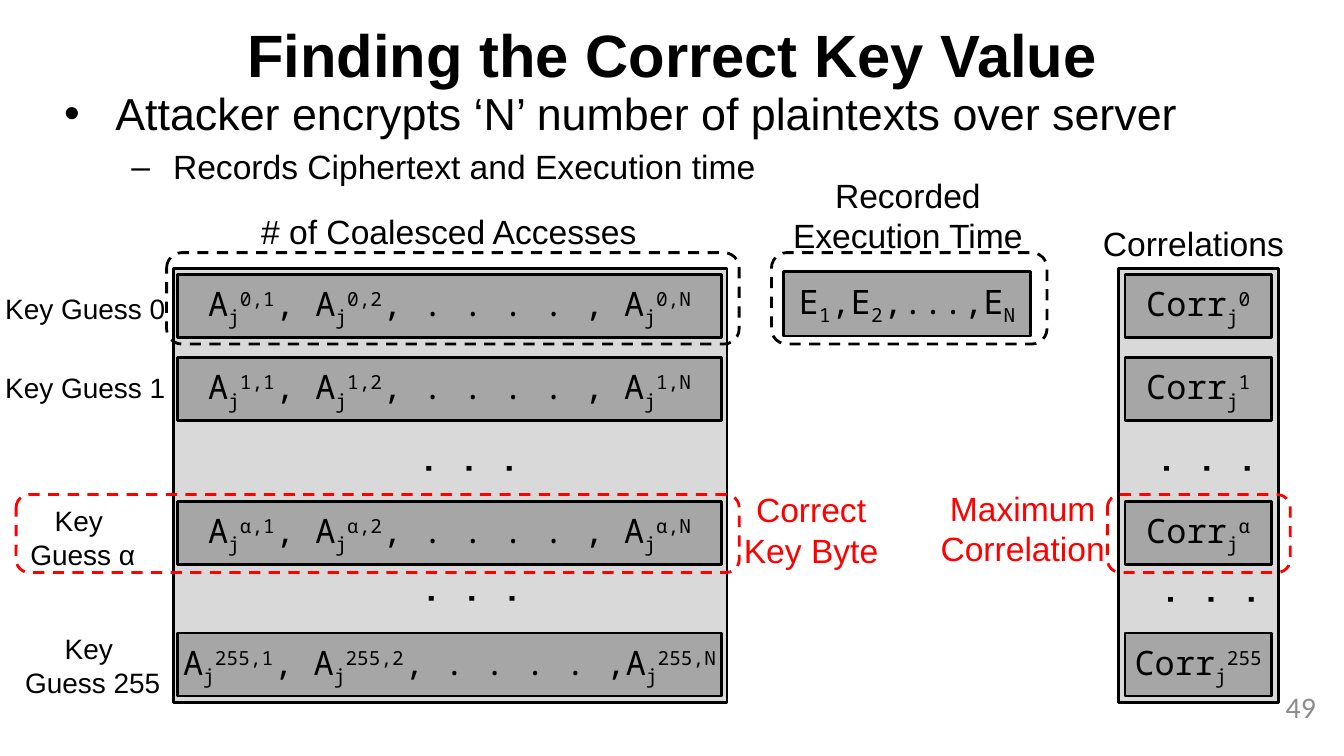
"""Build the slide on finding the correct key value from correlations."""
from dataclasses import dataclass
from typing import Optional

import pptx
import pptx.dml.color
import pptx.enum.dml
import pptx.enum.shapes
import pptx.enum.text
import pptx.oxml.ns
import pptx.util
from lxml import etree

EMU_PER_PX = 9144
BLACK = pptx.dml.color.RGBColor(0x00, 0x00, 0x00)
RED = pptx.dml.color.RGBColor(0xFF, 0x00, 0x00)
PANEL_GRAY = pptx.dml.color.RGBColor(0xD9, 0xD9, 0xD9)
CELL_GRAY = pptx.dml.color.RGBColor(0xA6, 0xA6, 0xA6)
NUMBER_GRAY = pptx.dml.color.RGBColor(0x8C, 0x8C, 0x8C)
SANS = "Arial"
MONO = "Noto Sans Mono"
SUBSCRIPT = -25000
SUPERSCRIPT = 30000

ALIGN = pptx.enum.text.PP_ALIGN
ANCHOR = pptx.enum.text.MSO_ANCHOR
AUTO_SIZE = pptx.enum.text.MSO_AUTO_SIZE
SHAPE = pptx.enum.shapes.MSO_SHAPE


@dataclass(frozen=True)
class Box:
    left: int
    top: int
    width: int
    height: int

    def emu(self) -> list[pptx.util.Emu]:
        """Return the four lengths in EMU."""
        return [px(value) for value in (self.left, self.top, self.width, self.height)]


@dataclass(frozen=True)
class Piece:
    text: str
    baseline: int = 0


@dataclass(frozen=True)
class Label:
    box: Box
    lines: tuple[str, ...]
    size: int = 18
    color: pptx.dml.color.RGBColor = BLACK


@dataclass(frozen=True)
class Outline:
    box: Box
    color: pptx.dml.color.RGBColor


@dataclass(frozen=True)
class Guess:
    index: str
    top: int
    last_separator: str = ", . . . . , "


@dataclass(frozen=True)
class Bullet:
    text: str
    symbol: str
    level: int
    margin: int
    hanging: int
    size: int
    space_before: float


PANELS = (Box(129, 200, 412, 323), Box(832, 200, 119, 323))
GUESSES = (
    Guess("0", 204),
    Guess("1", 266),
    Guess("α", 373),
    Guess("255", 471, ", . . . . ,"),
)
OUTLINES = (
    Outline(Box(124, 188, 426, 68), BLACK),
    Outline(Box(574, 188, 205, 68), BLACK),
    Outline(Box(12, 368, 538, 58), RED),
    Outline(Box(824, 368, 136, 58), RED),
)
LABELS = (
    Label(Box(-7, 212, 141, 35), ("Key Guess 0",), 15),
    Label(Box(-7, 271, 141, 35), ("Key Guess 1",), 15),
    Label(Box(12, 370, 99, 61), ("Key ", "Guess α"), 15),
    Label(Box(8, 465, 122, 61), ("Key ", "Guess 255"), 15),
    Label(Box(183, 152, 302, 40), ("# of Coalesced Accesses",)),
    Label(Box(579, 125, 193, 71), ("Recorded", "Execution Time")),
    Label(Box(810, 161, 156, 40), ("Correlations",)),
    Label(Box(543, 359, 121, 71), ("Correct", "Key Byte"), color=RED),
    Label(Box(689, 358, 144, 71), ("Maximum\nCorrelation",), color=RED),
)
ELLIPSES = tuple(
    Box(left, top, 41, 101)
    for left, top in ((321, 291), (323, 388), (870, 291), (873, 389))
)
BULLETS = (
    Bullet("Attacker encrypts ‘N’ number of plaintexts over server", "•", 0, 38, 38, 24, 0),
    Bullet("Records Ciphertext and Execution time", "–", 1, 81, 31, 18, 3.6),
)


def px(value: int) -> pptx.util.Emu:
    """Convert px to EMU."""
    return pptx.util.Emu(value * EMU_PER_PX)


def add_run(paragraph, text: str, size: int, color=BLACK, name: str = SANS,
            bold: bool = False, baseline: int = 0) -> None:
    """Append one formatted run."""
    run = paragraph.add_run()
    run.text = text
    run.font.size = pptx.util.Pt(size)
    run.font.color.rgb = color
    run.font.name = name
    run.font.bold = bold
    if baseline:
        run._r.get_or_add_rPr().set("baseline", str(baseline))


def add_lines(frame, lines: tuple[str, ...], size: int, color=BLACK,
              align: Optional[ALIGN] = None, name: str = SANS, bold: bool = False) -> None:
    """Write one paragraph for each line, with breaks at newlines."""
    for position, line in enumerate(lines):
        paragraph = frame.add_paragraph() if position else frame.paragraphs[0]
        paragraph.alignment = align
        for part_position, part in enumerate(line.split("\n")):
            if part_position:
                paragraph.add_line_break()
            add_run(paragraph, part, size, color, name, bold)


def add_panel(slide, box: Box, kind=SHAPE.RECTANGLE, fill=None, line=BLACK):
    """Add an outlined shape, filled when a fill is given."""
    shape = slide.shapes.add_shape(kind, *box.emu())
    shape.shadow.inherit = False
    if fill is None:
        shape.fill.background()
    else:
        shape.fill.solid()
        shape.fill.fore_color.rgb = fill
    shape.line.color.rgb = line
    shape.line.width = pptx.util.Pt(1.5)
    return shape


def add_cell(slide, box: Box, pieces: list[Piece]) -> None:
    """Add a cell holding a formula."""
    frame = add_panel(slide, box, fill=CELL_GRAY).text_frame
    frame.margin_left = frame.margin_right = px(3)
    frame.margin_top = frame.margin_bottom = px(1)
    frame.vertical_anchor = ANCHOR.MIDDLE
    frame.word_wrap = True
    paragraph = frame.paragraphs[0]
    paragraph.alignment = ALIGN.CENTER
    for piece in pieces:
        add_run(paragraph, piece.text, 18, name=MONO, baseline=piece.baseline)


def indexed(base: str, upper: str) -> list[Piece]:
    """Return a symbol with subscript j and a superscript."""
    return [Piece(base), Piece("j", SUBSCRIPT), Piece(upper, SUPERSCRIPT)]


def add_guess(slide, guess: Guess) -> None:
    """Add the accesses and the correlation of one key guess."""
    pieces = []
    for base, column in (("A", "1"), (", A", "2"), (guess.last_separator + "A", "N")):
        pieces += indexed(base, f"{guess.index},{column}")
    add_cell(slide, Box(132, guess.top, 405, 47), pieces)
    add_cell(slide, Box(837, guess.top, 109, 47), indexed("Corr", guess.index))


def add_execution_times(slide) -> None:
    """Add the cell of recorded execution times."""
    pieces = []
    for base, lower in (("E", "1"), (",E", "2"), (",...,E", "N")):
        pieces += [Piece(base), Piece(lower, SUBSCRIPT)]
    add_cell(slide, Box(583, 202, 184, 48), pieces)


def add_outline(slide, outline: Outline) -> None:
    """Add a dashed rounded outline."""
    shape = add_panel(slide, outline.box, SHAPE.ROUNDED_RECTANGLE, line=outline.color)
    shape.line.dash_style = pptx.enum.dml.MSO_LINE.DASH


def add_label(slide, label: Label) -> None:
    """Add a centred label that does not wrap."""
    frame = slide.shapes.add_textbox(*label.box.emu()).text_frame
    frame.word_wrap = False
    frame.auto_size = AUTO_SIZE.SHAPE_TO_FIT_TEXT
    add_lines(frame, label.lines, label.size, label.color, ALIGN.CENTER)


def add_ellipsis(slide, box: Box) -> None:
    """Add three dots turned to run from left to right."""
    shape = slide.shapes.add_textbox(*box.emu())
    shape.rotation = 270
    shape.text_frame.word_wrap = True
    add_lines(shape.text_frame, (".",) * 3, 18, bold=True)


def add_bullets(slide) -> None:
    """Add the bulleted text."""
    frame = slide.shapes.add_textbox(*Box(38, 59, 924, 383).emu()).text_frame
    frame.word_wrap = True
    for position, bullet in enumerate(BULLETS):
        paragraph = frame.add_paragraph() if position else frame.paragraphs[0]
        paragraph.level = bullet.level
        properties = paragraph._p.get_or_add_pPr()
        properties.set("marL", str(px(bullet.margin)))
        properties.set("indent", str(-px(bullet.hanging)))
        for tag, key, value in (("a:buFont", "typeface", SANS), ("a:buChar", "char", bullet.symbol)):
            etree.SubElement(properties, pptx.oxml.ns.qn(tag)).set(key, value)
        paragraph.space_before = pptx.util.Pt(bullet.space_before)
        paragraph.font.size = pptx.util.Pt(bullet.size)
        add_run(paragraph, bullet.text, bullet.size)


def add_title(slide) -> None:
    """Move and format the title."""
    title = slide.shapes.title
    title.left, title.top, title.width, title.height = Box(12, -7, 977, 94).emu()
    frame = title.text_frame
    frame.auto_size = AUTO_SIZE.NONE
    frame.vertical_anchor = ANCHOR.MIDDLE
    add_lines(frame, ("Finding the Correct Key Value",), 32, align=ALIGN.CENTER, bold=True)


def add_slide_number(slide) -> None:
    """Add the slide number."""
    frame = slide.shapes.add_textbox(*Box(756, 511, 233, 30).emu()).text_frame
    frame.word_wrap = True
    frame.vertical_anchor = ANCHOR.MIDDLE
    add_lines(frame, ("49",), 16, NUMBER_GRAY, ALIGN.RIGHT, "Calibri")


def main() -> None:
    """Build and save the presentation."""
    presentation = pptx.Presentation()
    presentation.slide_width = px(1000)
    presentation.slide_height = presentation.slide_width * 9 // 16
    slide = presentation.slides.add_slide(presentation.slide_layouts[5])
    add_title(slide)
    add_bullets(slide)
    add_slide_number(slide)
    for panel in PANELS:
        add_panel(slide, panel, fill=PANEL_GRAY)
    for guess in GUESSES:
        add_guess(slide, guess)
    add_execution_times(slide)
    for outline in OUTLINES:
        add_outline(slide, outline)
    for box in ELLIPSES:
        add_ellipsis(slide, box)
    for label in LABELS:
        add_label(slide, label)
    presentation.save("out.pptx")


if __name__ == "__main__":
    main()
